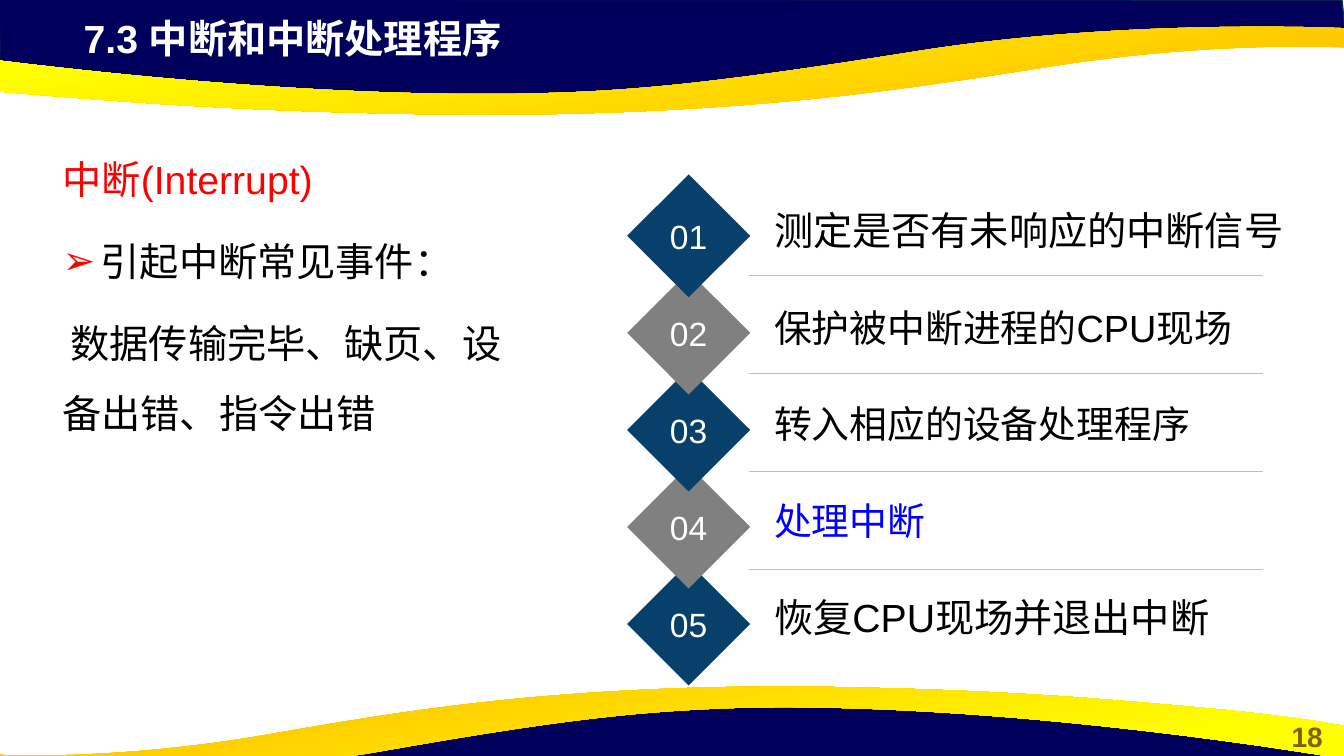
from lxml import etree
from pptx import Presentation
from pptx.dml.color import RGBColor
from pptx.enum.shapes import MSO_CONNECTOR, MSO_SHAPE
from pptx.enum.text import MSO_ANCHOR, MSO_AUTO_SIZE, PP_ALIGN
from pptx.oxml.ns import qn
from pptx.util import Inches, Pt

STRAIGHT = MSO_CONNECTOR.STRAIGHT
DIAMOND = MSO_SHAPE.DIAMOND
TOP, MIDDLE, BOTTOM = MSO_ANCHOR.TOP, MSO_ANCHOR.MIDDLE, MSO_ANCHOR.BOTTOM
LEFT, CENTER = PP_ALIGN.LEFT, PP_ALIGN.CENTER
FIXED = MSO_AUTO_SIZE.NONE

NAVY, NAVY_EDGE = "00005C", "05304F"
GOLD, YELLOW = "FFC000", "FFFF00"
BLUE, GREY, DIVIDER = "07416B", "808080", "BFBFBF"
WHITE, BLACK, RED, LINK_BLUE = "FFFFFF", "000000", "FF0000", "0000FF"

HEADER = [(-0.01, -0.01), (0, 0.7), (2.93, 1.02), (5.59, 1), (7.95, 0.88),
          (10.16, 0.5), (12.38, 0.33), (13.35, 0.38), (13.31, 0), (-0.01, -0.01)]
FOOTER = [(13.33, 7.94), (13.32, 7.24), (10.4, 6.91), (7.73, 6.93), (5.38, 7.06),
          (3.17, 7.43), (0.95, 7.6), (-0.03, 7.56), (0.01, 7.93), (13.33, 7.94)]
HEADER_RIBBON = [
    (4.83, 1.14), (4.43, 1.14, 4.01, 1.13, 3.56, 1.12), (2.06, 1.08, 1.1, 1, 0.36, 0.94),
    (-0.88, 0.84, -1.3, 0.75, -1.33, 0.75), (-1.33, 0.42, -1.33, 0.42, -1.33, 0.42),
    (-1.33, 0.42, 2.18, 0.98, 5.17, 0.93), (6.26, 0.91, 7.08, 0.83, 9.15, 0.5),
    (11.21, 0.18, 13.33, 0.28, 13.33, 0.28), (13.33, 0.32), (13.33, 0.47), (13.3, 0.47),
    (13.05, 0.46, 11.95, 0.43, 10.55, 0.64), (9.18, 0.85, 7.62, 1.13, 4.83, 1.14)]
FOOTER_RIBBON = [
    (7.72, 6.81), (8.09, 6.81, 8.47, 6.82, 8.88, 6.83), (10.25, 6.87, 11.12, 6.95, 11.79, 7.01),
    (12.92, 7.11, 13.3, 7.2, 13.33, 7.2), (13.33, 7.53, 13.33, 7.53, 13.33, 7.53),
    (13.33, 7.53, 10.14, 6.97, 7.42, 7.02), (6.42, 7.05, 5.67, 7.12, 3.8, 7.45),
    (1.92, 7.78, -0.01, 7.68, -0.01, 7.68), (-0.01, 7.64), (-0.01, 7.48), (0.02, 7.49),
    (0.25, 7.5, 1.25, 7.52, 2.52, 7.31), (3.76, 7.1, 5.19, 6.82, 7.72, 6.81)]

STEPS = [("测定是否有未响应的中断信号", 28, BLACK, 5.38),
         ("保护被中断进程的CPU现场", 27, BLACK, 5.1),
         ("转入相应的设备处理程序", 27, BLACK, 5.1),
         ("处理中断", 27, LINK_BLUE, 5.1),
         ("恢复CPU现场并退出中断", 28, BLACK, 5.1)]
LABEL_PITCH = 0.96
DIAMOND_PITCH = (5.58 - 1.73) / 4
DIVIDER_PITCH = (5.65 - 2.73) / 3


def rgb(value):
    return RGBColor.from_string(value)


def set_values(target, values):
    for key, value in values.items():
        setattr(target, key, value)


def place(shape, left, top, width, height):
    set_values(shape, {"left": Inches(left), "top": Inches(top),
                       "width": Inches(width), "height": Inches(height)})


def write(paragraph, text, size, color, bold=False, **layout):
    set_values(paragraph, layout)
    run = paragraph.add_run()
    run.text = text
    set_values(run.font, {"name": "Arial", "size": Pt(size), "bold": bold})
    run.font.color.rgb = rgb(color)


def set_frame(shape, anchor):
    set_values(shape.text_frame, {"word_wrap": True, "auto_size": FIXED,
                                  "vertical_anchor": anchor})


def set_indent(paragraph, margin, first_line, bullet=None, color=None):
    properties = paragraph._p.get_or_add_pPr()
    properties.set("marL", str(Inches(margin)))
    properties.set("indent", str(Inches(first_line)))
    if bullet is None:
        etree.SubElement(properties, qn("a:buNone"))
        return
    bullet_color = etree.SubElement(properties, qn("a:buClr"))
    etree.SubElement(bullet_color, qn("a:srgbClr"), val=color)
    etree.SubElement(properties, qn("a:buFont"), typeface="Arial")
    etree.SubElement(properties, qn("a:buChar"), char=bullet)


def bend(outline, segments):
    lines = iter(list(outline._element.iter(qn("a:lnTo"))))
    for segment in segments[1:]:
        first = next(lines)
        if len(segment) == 2:
            continue
        first.tag = qn("a:cubicBezTo")
        for line in (next(lines), next(lines)):
            first.append(line[0])
            line.getparent().remove(line)


def add_outline(slide, segments):
    points = [(Inches(segment[i]), Inches(segment[i + 1]))
              for segment in segments for i in range(0, len(segment), 2)]
    builder = slide.shapes.build_freeform(*points[0], scale=1.0)
    builder.add_line_segments(points[1:], close=True)
    outline = builder.convert_to_shape()
    outline.shadow.inherit = False
    bend(outline, segments)
    return outline


def add_band(slide, segments):
    band = add_outline(slide, segments)
    band.fill.solid()
    band.fill.fore_color.rgb = rgb(NAVY)
    band.line.color.rgb = rgb(NAVY_EDGE)
    band.line.width = Pt(1)


def add_ribbon(slide, segments, angle):
    ribbon = add_outline(slide, segments)
    ribbon.line.fill.background()
    ribbon.fill.gradient()
    ribbon.fill.gradient_angle = angle
    for stop, position, color in zip(ribbon.fill.gradient_stops, (0.11, 0.78), (GOLD, YELLOW)):
        stop.position = position
        stop.color.rgb = rgb(color)


def add_label(slide, box, anchor, text, size, color, **style):
    label = slide.shapes.add_textbox(*map(Inches, box))
    set_frame(label, anchor)
    write(label.text_frame.paragraphs[0], text, size, color, **style)


def add_number_diamond(slide, index):
    top = 1.73 + index * DIAMOND_PITCH
    diamond = slide.shapes.add_shape(DIAMOND, *map(Inches, (6.22, top, 1.22, 1.22)))
    diamond.shadow.inherit = False
    diamond.fill.solid()
    diamond.fill.fore_color.rgb = rgb(GREY if index % 2 else BLUE)
    diamond.line.fill.background()
    set_frame(diamond, MIDDLE)
    write(diamond.text_frame.paragraphs[0], f"{index + 1:02d}", 24, WHITE, alignment=CENTER)


def add_divider(slide, y):
    divider = slide.shapes.add_connector(STRAIGHT, *map(Inches, (7.43, y, 12.53, y)))
    divider.line.color.rgb = rgb(DIVIDER)
    divider.line.width = Pt(0.25)
    etree.SubElement(divider._element.spPr, qn("a:effectLst"))


def fill_title(slide):
    title = slide.shapes.title
    slide.shapes.element.append(title._element)
    place(title, 0.73, 0.09, 7.68, 0.57)
    set_frame(title, TOP)
    write(title.text_frame.paragraphs[0], "7.3 中断和中断处理程序", 28, WHITE, True,
          alignment=LEFT)


def fill_body(slide):
    body = slide.placeholders[1]
    slide.shapes.element.append(body._element)
    place(body, 0.52, 1.26, 4.57, 5.83)
    set_frame(body, TOP)
    topic = body.text_frame.paragraphs[0]
    events = body.text_frame.add_paragraph()
    examples = body.text_frame.add_paragraph()
    set_indent(topic, 0, 0)
    set_indent(events, 0.38, -0.38, "➢", RED)
    set_indent(examples, 0, 0.08)
    write(topic, "中断(Interrupt)", 28, RED, line_spacing=1.5, space_before=Pt(0))
    for paragraph, text in ((events, "引起中断常见事件："),
                            (examples, "数据传输完毕、缺页、设备出错、指令出错")):
        write(paragraph, text, 28, BLACK, line_spacing=1.5, space_before=Pt(8))


def main():
    deck = Presentation()
    set_values(deck, {"slide_width": Inches(13.33), "slide_height": Inches(7.5)})
    slide = deck.slides.add_slide(deck.slide_layouts[1])
    add_band(slide, HEADER)
    add_ribbon(slide, HEADER_RIBBON, 100)
    add_band(slide, FOOTER)
    add_ribbon(slide, FOOTER_RIBBON, 280)
    add_label(slide, (12.6, 7.09, 0.73, 0.44), TOP, "18", 20, "806000", bold=True,
              alignment=CENTER)
    fill_title(slide)
    fill_body(slide)
    for index, (text, size, color, width) in reversed(list(enumerate(STEPS))):
        add_number_diamond(slide, index)
        add_label(slide, (7.58, 2.09 + index * LABEL_PITCH, width, 0.47), BOTTOM, text, size, color)
    for index in range(len(STEPS) - 1):
        add_divider(slide, 2.73 + index * DIVIDER_PITCH)
    deck.save("out.pptx")


if __name__ == "__main__":
    main()
